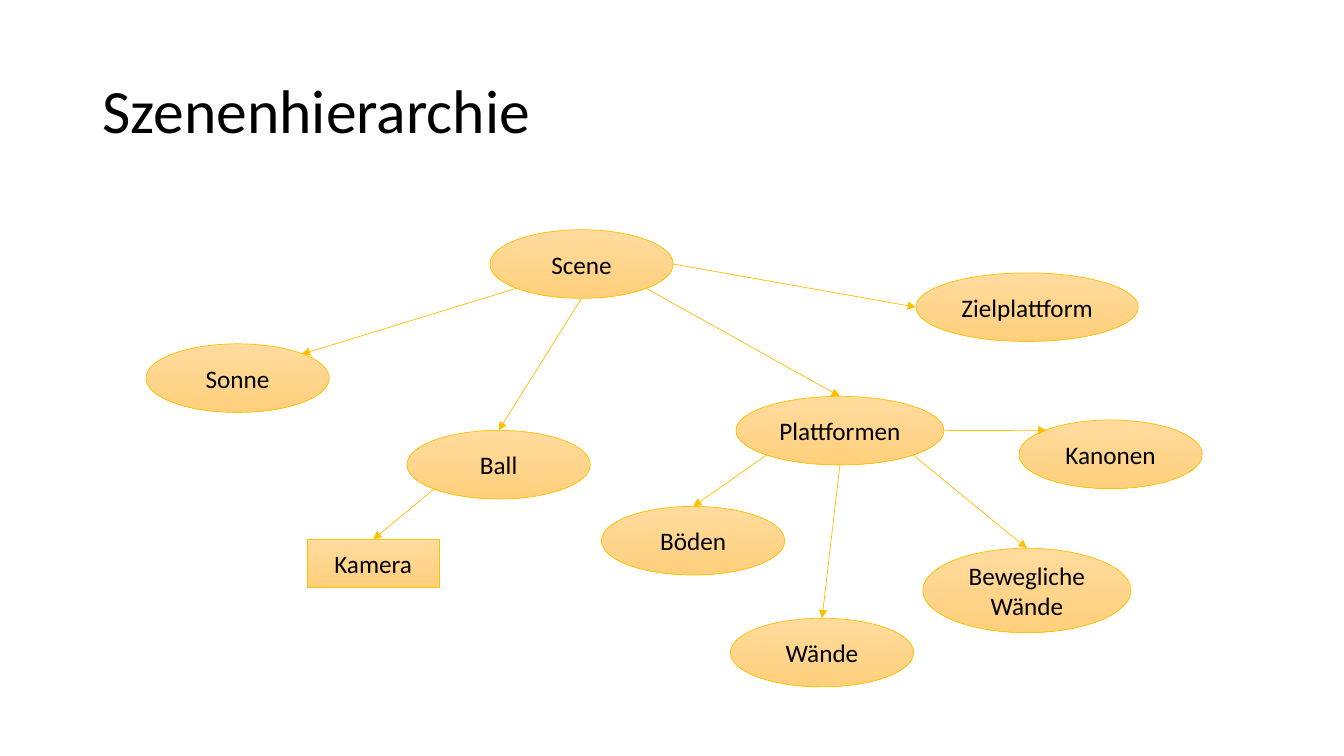
from lxml.etree import SubElement as Sub
from pptx import Presentation as Deck
from pptx.dml.color import RGBColor as Rgb
from pptx.enum.shapes import MSO_CONNECTOR as Link, MSO_SHAPE as Form
from pptx.enum.text import MSO_ANCHOR as Anchor, PP_ALIGN as Align
from pptx.oxml.ns import qn
from pptx.util import Pt

GOLD = "FFC000"
SHADES = ["FFDB9E", "FFD07C"]
HEAD = {"name": "Calibri", "size": Pt(44), "bold": False}
BODY = {"name": "Calibri", "size": Pt(18)}
FRAME = {"word_wrap": True, "vertical_anchor": Anchor.MIDDLE}
WIDE, TALL = 131, 49

NODES = {
    "Scene": (349.9, 164.1, WIDE, TALL),
    "Sonne": (104.2, 245.6, WIDE, TALL),
    "Ball": (290.7, 307.4, WIDE, TALL),
    "Plattformen": (525.7, 283.1, 148.5, TALL),
    "Böden": (429.6, 361.7, WIDE, TALL),
    "Wände": (521.7, 441.6, WIDE, TALL),
    "Kanonen": (727.8, 300, WIDE, TALL),
    "Bewegliche Wände": (659.2, 391.6, 148.6, 60.3),
    "Zielplattform": (654.3, 194.9, 158.8, TALL),
    "Kamera": (219.4, 385.2, 94.4, 34.2),
}
SITES = {
    "top": (0.5, 0), "left": (0, 0.5), "bottom": (0.5, 1), "right": (1, 0.5),
    "nw": (0.15, 0.15), "ne": (0.85, 0.15),
    "sw": (0.15, 0.85), "se": (0.85, 0.85),
}
EDGES = [
    ("Scene", "sw", "Sonne", "ne"),
    ("Scene", "bottom", "Ball", "top"),
    ("Scene", "se", "Plattformen", "top"),
    ("Scene", "right", "Zielplattform", "left"),
    ("Ball", "sw", "Kamera", "top"),
    ("Plattformen", "sw", "Böden", "top"),
    ("Plattformen", "bottom", "Wände", "top"),
    ("Plattformen", "se", "Bewegliche Wände", "top"),
    ("Plattformen", "right", "Kanonen", "nw"),
]


def tint(color, code):
    color.rgb = Rgb.from_string(code)


def apply(item, style):
    for key, value in style.items():
        setattr(item, key, value)


def write(shape, text, font, align):
    frame = shape.text_frame
    frame.text = text
    apply(frame, FRAME)
    para = frame.paragraphs[0]
    para.alignment = align
    apply(para.runs[0].font, font)
    tint(para.runs[0].font.color, "000000")
    return para


def stroke(line):
    line.width = Pt(0.5)
    tint(line.color, GOLD)


def title(slide, text):
    shape = slide.shapes.title
    box = dict(left=66, top=28.8, width=828, height=104.4)
    apply(shape, {key: Pt(value) for key, value in box.items()})
    write(shape, text, HEAD, Align.LEFT).line_spacing = 0.9


def node(slide, text, box):
    form = Form.RECTANGLE if text == "Kamera" else Form.OVAL
    shape = slide.shapes.add_shape(form, *map(Pt, box))
    shape.shadow.inherit = False
    shape.fill.gradient()
    shape.fill.gradient_angle = 270
    for stop, code in zip(shape.fill.gradient_stops, SHADES):
        tint(stop.color, code)
    stroke(shape.line)
    write(shape, text, BODY, Align.CENTER)
    return shape


def point(shape, site):
    across, down = SITES[site]
    return (int(shape.left + across * shape.width),
            int(shape.top + down * shape.height))


def arrow(slide, start, out, end, into):
    line = slide.shapes.add_connector(
        Link.STRAIGHT, *point(start, out), *point(end, into))
    if into == "top":
        line.end_connect(end, 0)
    stroke(line.line)
    props = line.line._get_or_add_ln()
    Sub(props, qn("a:tailEnd"), type="triangle")
    Sub(props.getparent(), qn("a:effectLst"))


def main():
    deck = Deck()
    deck.slide_width, deck.slide_height = Pt(960), Pt(540)
    slide = deck.slides.add_slide(deck.slide_layouts[5])
    title(slide, "Szenenhierarchie")
    shapes = {name: node(slide, name, box) for name, box in NODES.items()}
    for start, out, end, into in EDGES:
        arrow(slide, shapes[start], out, shapes[end], into)
    deck.save("out.pptx")


if __name__ == "__main__":
    main()
